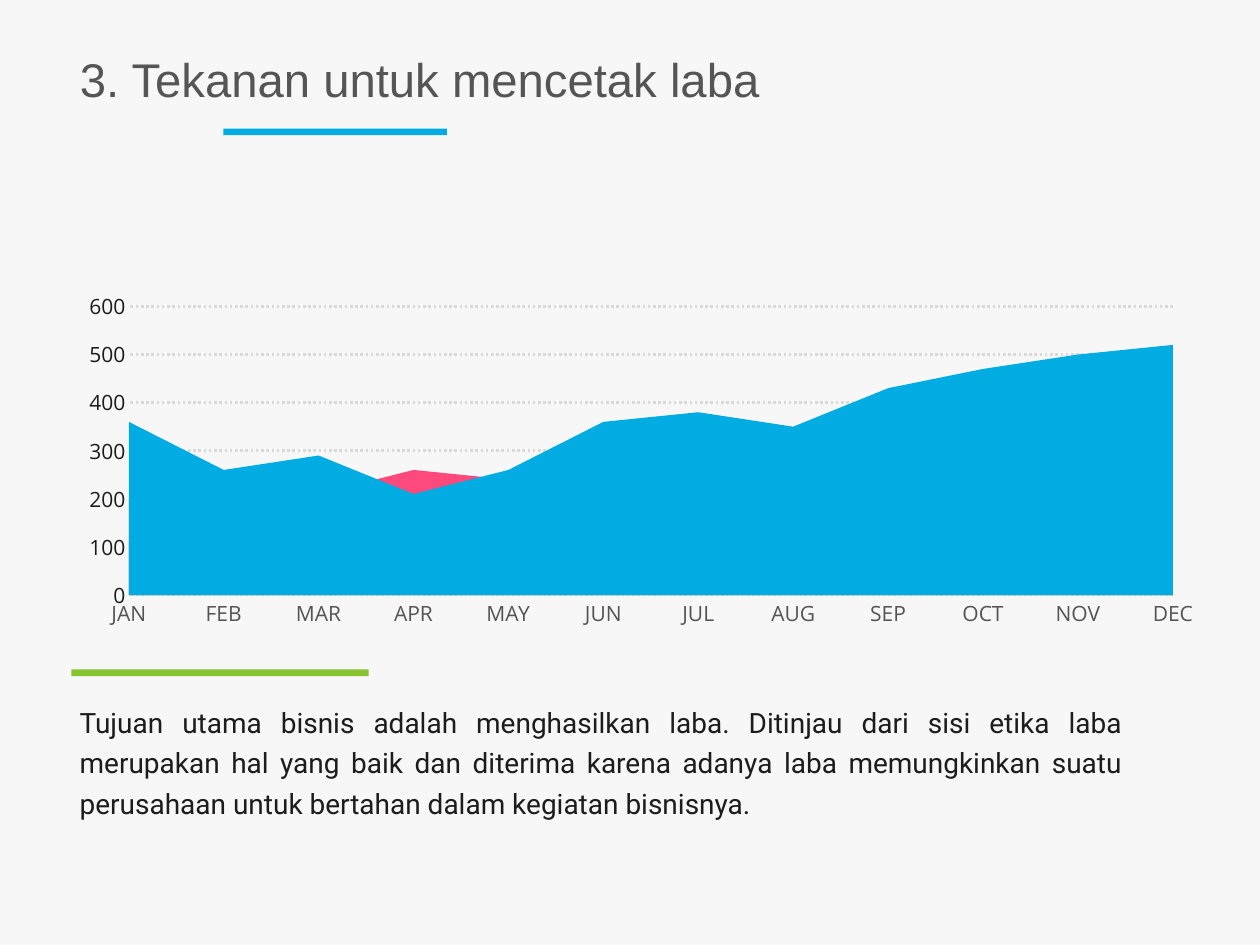
import pptx
import pptx.chart.data
import pptx.dml.color
import pptx.enum.chart
import pptx.enum.dml
import pptx.enum.shapes
import pptx.enum.text
import pptx.oxml
import pptx.oxml.ns
import pptx.util

Inches = pptx.util.Inches
Pt = pptx.util.Pt
RGBColor = pptx.dml.color.RGBColor
ALIGN = pptx.enum.text.PP_ALIGN
ANCHOR = pptx.enum.text.MSO_ANCHOR

BACKGROUND = RGBColor(0xF7, 0xF7, 0xF7)
BLUE = RGBColor(0x00, 0xAC, 0xE2)
PINK = RGBColor(0xFD, 0x49, 0x7C)
GREEN = RGBColor(0x87, 0xC3, 0x2F)
TITLE_GRAY = RGBColor(0x55, 0x55, 0x55)
LABEL_GRAY = RGBColor(0x54, 0x54, 0x54)
GRID_GRAY = RGBColor(0xD9, 0xD9, 0xD9)
INK = RGBColor(0x1C, 0x1C, 0x1C)

MONTHS = ["JAN", "FEB", "MAR", "APR", "MAY", "JUN",
          "JUL", "AUG", "SEP", "OCT", "NOV", "DEC"]
SERIES = [
    ("Series 1", BLUE, [360, 260, 290, 210, 260, 360, 380, 350, 430, 470, 500, 520]),
    ("Series 2", PINK, [200, 220, 210, 260, 240, 240, 210, 260, 270, 290, 300, 360]),
    ("Series 3", GREEN, [110, 100, 120, 130, 160, 160, 170, 190, 160, 120, 170, 190]),
]
TITLE = "3. Tekanan untuk mencetak laba"
BODY = ("Tujuan utama bisnis adalah menghasilkan laba. Ditinjau dari sisi etika laba "
        "merupakan hal yang baik dan diterima karena adanya laba memungkinkan suatu "
        "perusahaan untuk bertahan dalam kegiatan bisnisnya.")


def add_bar(slide, left, top, width, color):
    s = slide.shapes.add_shape(pptx.enum.shapes.MSO_SHAPE.RECTANGLE,
                               Inches(left), Inches(top), Inches(width), Inches(0.08))
    s.shadow.inherit = False
    s.fill.solid()
    s.fill.fore_color.rgb = color
    s.line.fill.background()


def add_text(slide, text, left, top, width, height, *, font, size, color,
             align=ALIGN.LEFT, anchor=ANCHOR.TOP, inset=(0.1, 0.05),
             line_spacing=1.0, space_before=0):
    s = slide.shapes.add_textbox(Inches(left), Inches(top), Inches(width), Inches(height))
    tf = s.text_frame
    tf.word_wrap = True
    tf.vertical_anchor = anchor
    tf.margin_left = tf.margin_right = Inches(inset[0])
    tf.margin_top = tf.margin_bottom = Inches(inset[1])
    p = tf.paragraphs[0]
    p.alignment = align
    p.line_spacing = line_spacing
    p.space_before = Pt(space_before)
    r = p.add_run()
    r.text = text
    r.font.name = font
    r.font.size = Pt(size)
    r.font.color.rgb = color


def set_plot_layout(chart, x, y, w, h):
    """Place the inner plot area, in fractions of the chart frame."""
    plot_area = chart._chartSpace.chart.plotArea
    for old in plot_area.findall(pptx.oxml.ns.qn("c:layout")):
        plot_area.remove(old)
    sizes = "".join(f'<c:{tag} val="{value}"/>'
                    for tag, value in zip("xywh", (x, y, w, h)))
    plot_area.insert(0, pptx.oxml.parse_xml(
        f'<c:layout {pptx.oxml.ns.nsdecls("c")}><c:manualLayout>'
        '<c:layoutTarget val="inner"/><c:xMode val="edge"/><c:yMode val="edge"/>'
        f'{sizes}</c:manualLayout></c:layout>'))


def style_axis(axis, color):
    axis.major_tick_mark = axis.minor_tick_mark = pptx.enum.chart.XL_TICK_MARK.NONE
    axis.format.line.fill.background()
    font = axis.tick_labels.font
    font.name = "Open Sans"
    font.size = Pt(18)
    font.color.rgb = color


def add_area_chart(slide, left, top, width, height):
    data = pptx.chart.data.CategoryChartData()
    data.categories = MONTHS
    for name, _, values in SERIES:
        data.add_series(name, values)
    chart = slide.shapes.add_chart(pptx.enum.chart.XL_CHART_TYPE.AREA,
                                   Inches(left), Inches(top),
                                   Inches(width), Inches(height), data).chart
    chart.has_legend = False
    chart.has_title = False
    chart.font.name = "Open Sans"
    chart.font.size = Pt(18)
    chart.font.color.rgb = INK
    chart.plots[0].vary_by_categories = False
    for series, (_, color, _) in zip(chart.plots[0].series, SERIES):
        series.format.fill.solid()
        series.format.fill.fore_color.rgb = color
        series.format.line.fill.background()

    style_axis(chart.category_axis, LABEL_GRAY)
    chart.category_axis.has_major_gridlines = False
    axis = chart.value_axis
    style_axis(axis, INK)
    axis.minimum_scale, axis.maximum_scale, axis.major_unit = 0, 600, 100
    axis.has_major_gridlines = True
    line = axis.major_gridlines.format.line
    line.color.rgb = GRID_GRAY
    line.width = Pt(2.25)
    line.dash_style = pptx.enum.dml.MSO_LINE.ROUND_DOT
    # Start the areas on the value axis rather than half a category in
    for cross in chart._chartSpace.iter(pptx.oxml.ns.qn("c:crossBetween")):
        cross.set("val", "midCat")
    set_plot_layout(chart, 0.05, 0.06, 0.91, 0.83)


def main():
    prs = pptx.Presentation()
    prs.slide_width = Inches(15)
    prs.slide_height = Inches(11.25)
    slide = prs.slides.add_slide(prs.slide_layouts[6])
    slide.background.fill.solid()
    slide.background.fill.fore_color.rgb = BACKGROUND

    add_bar(slide, 2.66, 1.53, 2.66, BLUE)
    add_text(slide, TITLE, 0.77, 0.27, 13.48, 1.32, font="Arial", size=40.5,
             color=TITLE_GRAY, anchor=ANCHOR.MIDDLE, inset=(0.18, 0.09))
    add_area_chart(slide, 0.85, 3.4, 13.66, 4.14)
    add_text(slide, BODY, 0.85, 8.27, 12.61, 0.89, font="Roboto", size=24, color=INK,
             align=ALIGN.JUSTIFY, line_spacing=1.2, space_before=12)
    add_bar(slide, 0.85, 7.97, 3.54, GREEN)
    prs.save("out.pptx")


if __name__ == "__main__":
    main()
